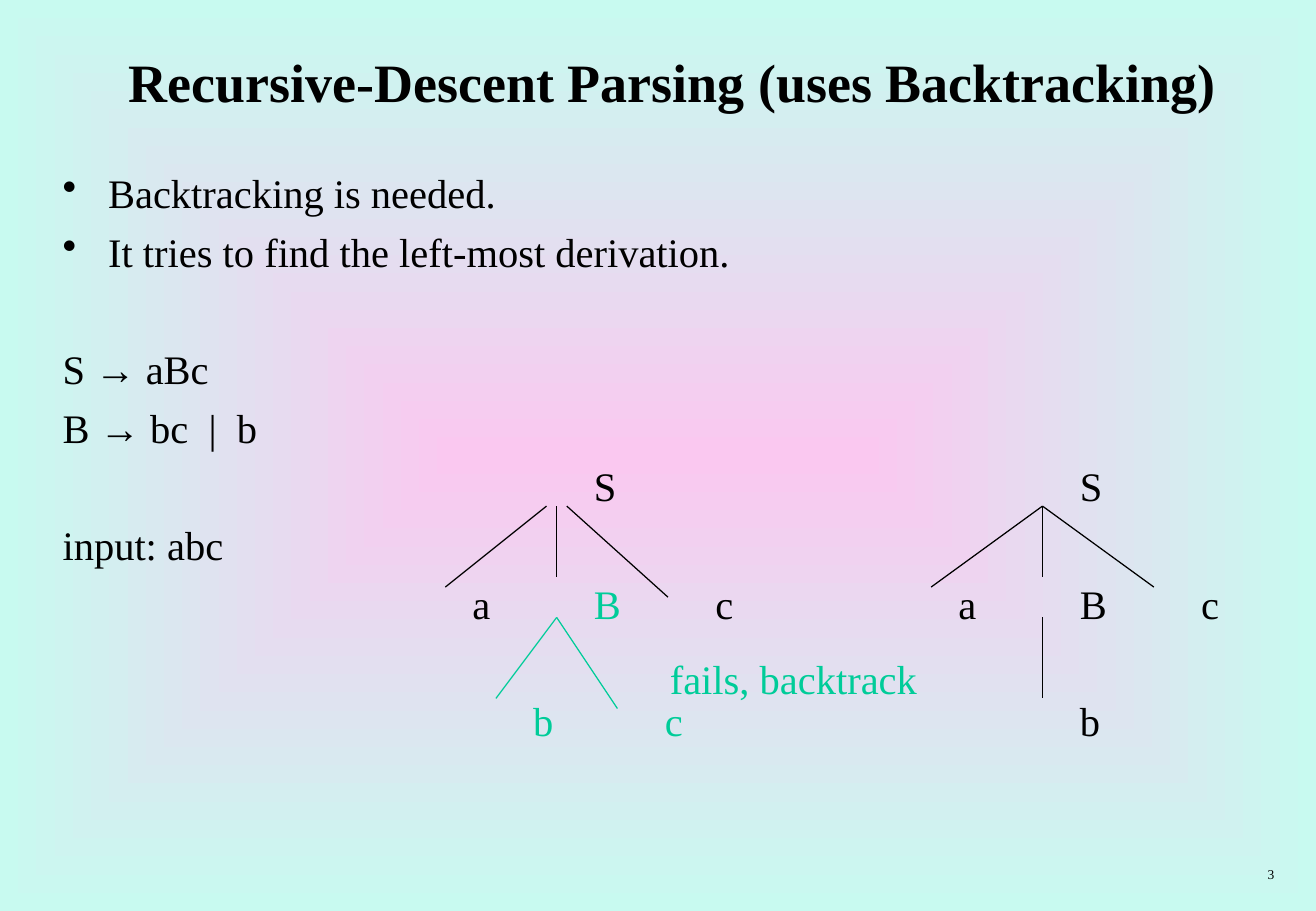
from lxml import etree
from pptx import Presentation
from pptx.dml.color import RGBColor
from pptx.enum.shapes import MSO_CONNECTOR
from pptx.enum.text import MSO_ANCHOR, PP_ALIGN
from pptx.oxml.ns import qn
from pptx.util import Emu, Pt

STRAIGHT = MSO_CONNECTOR.STRAIGHT
TOP, MIDDLE = MSO_ANCHOR.TOP, MSO_ANCHOR.MIDDLE
LEFT, CENTER, RIGHT = PP_ALIGN.LEFT, PP_ALIGN.CENTER, PP_ALIGN.RIGHT

SCALE = 7620
PAGE_WIDTH, PAGE_HEIGHT = Emu(9907588), Emu(6858000)
SERIF, SANS = "Times New Roman", "Arial"
COLOURS = {"ink": "000000", "fail": "00CC99", "core": "FAC8F0", "edge": "C8FAF0"}
LINE_GAP = 6
ROW_SKIP = 40.8


def px(length):
    return Emu(length * SCALE)


def colour(name):
    return RGBColor.from_string(COLOURS[name])


class SlideBuilder:
    def __init__(self, deck):
        self.page = deck.slides.add_slide(deck.slide_layouts[6])

    def background(self, inner, outer):
        fill = self.page.background.fill
        fill.gradient()
        for stop, name in zip(fill.gradient_stops, (inner, outer)):
            stop.color.rgb = colour(name)
        gradient = self.page.element.find(".//" + qn("a:gradFill"))
        gradient.remove(gradient.find(qn("a:lin")))
        shade = etree.SubElement(gradient, qn("a:path"))
        shade.set("path", "rect")
        centre = etree.SubElement(shade, qn("a:fillToRect"))
        for side in "ltrb":
            centre.set(side, "50000")

    def box(self, left, top, width, height, anchor=TOP, wrap=True):
        shape = self.page.shapes.add_textbox(px(left), px(top), px(width), px(height))
        frame = shape.text_frame
        frame.word_wrap = wrap
        frame.vertical_anchor = anchor
        return frame

    def para(self, frame, spans, size=24, bold=False, align=LEFT,
             before=0, bullet=False, tabs=()):
        first = not frame.paragraphs[0].runs
        para = frame.paragraphs[0] if first else frame.add_paragraph()
        properties = para._p.get_or_add_pPr()
        if bullet:
            properties.set("marL", str(px(45)))
            properties.set("indent", str(px(-45)))
            tint = etree.SubElement(properties, qn("a:buClr"))
            etree.SubElement(tint, qn("a:srgbClr")).set("val", COLOURS["ink"])
            etree.SubElement(properties, qn("a:buChar")).set("char", "•")
        if tabs:
            stops = etree.SubElement(properties, qn("a:tabLst"))
            for position in tabs:
                stop = etree.SubElement(stops, qn("a:tab"))
                stop.set("pos", str(px(position)))
                stop.set("algn", "l")
        para.alignment = align
        if before:
            para.space_before = Pt(before)
        for text, tint, font in spans:
            span = para.add_run()
            span.text = text
            span.font.name = font
            span.font.size = Pt(size)
            span.font.bold = bold
            span.font.color.rgb = colour(tint)

    def branch(self, start, end, tint="ink"):
        line = self.page.shapes.add_connector(
            STRAIGHT, *(px(value) for value in start + end))
        line.line.color.rgb = colour(tint)
        line.line.width = Pt(0.75)
        etree.SubElement(line._element.spPr, qn("a:effectLst"))


def ink(text, font=SERIF):
    return text, "ink", font


def fail(text):
    return text, "fail", SERIF


def rule(head, result):
    return [ink(head + " "), ink("→", SANS), ink(" " + result)]


def main():
    deck = Presentation()
    deck.slide_width, deck.slide_height = PAGE_WIDTH, PAGE_HEIGHT
    slide = SlideBuilder(deck)
    slide.background("core", "edge")

    title = slide.box(50, 20, 1230, 120, anchor=MIDDLE)
    slide.para(title, [ink("Recursive-Descent Parsing (uses Backtracking)")],
               size=32, bold=True, align=CENTER)

    body = slide.box(50, 160, 1230, 670)
    slide.para(body, [ink("Backtracking is needed.")], bullet=True)
    slide.para(body, [ink("It tries to find the left-most derivation.")],
               before=LINE_GAP, bullet=True)
    rows = [
        (rule("S", "aBc"), ROW_SKIP, ()),
        (rule("B", "bc  |  b"), LINE_GAP, ()),
        ([ink("\tS\tS")], LINE_GAP, (525, 1005)),
        ([ink("input: abc")], LINE_GAP, ()),
        ([ink("\ta\t"), fail("B\t"), ink("c\ta\tB\tc")], LINE_GAP,
         (405, 525, 645, 885, 1005, 1125)),
        ([fail("\tb\tc\t"), ink("b")], ROW_SKIP, (465, 595, 1005)),
    ]
    for spans, before, tabs in rows:
        slide.para(body, spans, before=before, tabs=tabs)

    branches = [
        ((540, 500), (440, 580), "ink"),
        ((560, 500), (660, 590), "ink"),
        ((550, 500), (550, 570), "ink"),
        ((550, 610), (490, 690), "fail"),
        ((550, 610), (610, 700), "fail"),
        ((1030, 500), (920, 580), "ink"),
        ((1030, 500), (1140, 580), "ink"),
        ((1030, 500), (1030, 570), "ink"),
        ((1030, 610), (1030, 690), "ink"),
    ]
    for start, end, tint in branches:
        slide.branch(start, end, tint)

    verdict = slide.box(650, 640, 268, 60, wrap=False)
    slide.para(verdict, [fail("fails, backtrack")])

    number = slide.box(1000, 850, 271, 30)
    slide.para(number, [ink("3")], size=8, align=RIGHT)

    deck.save("out.pptx")


if __name__ == "__main__":
    main()
